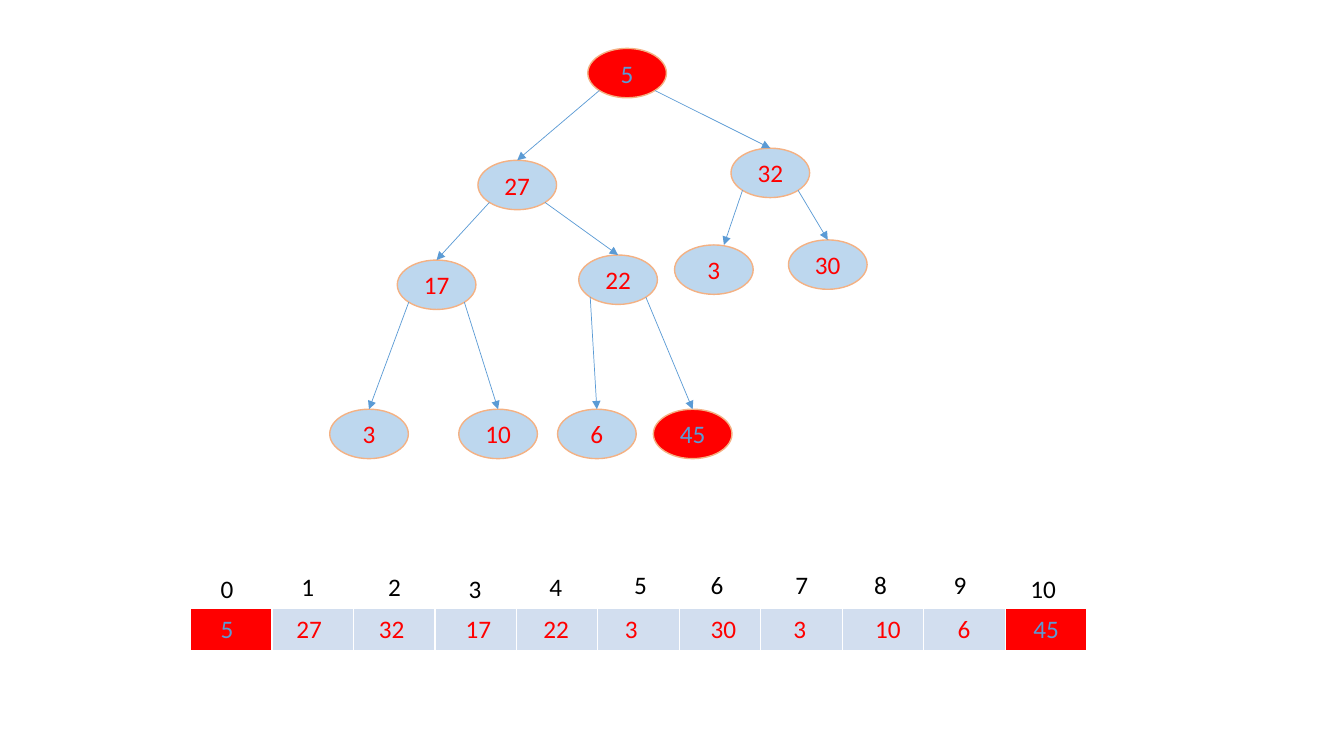
import math
from dataclasses import dataclass

import pptx
import pptx.dml.color
import pptx.enum.shapes
import pptx.enum.text
import pptx.oxml
import pptx.oxml.ns
import pptx.util
from pptx.util import Inches


@dataclass(frozen=True)
class Theme:
    font: str = "Calibri"
    size: int = 18
    ink: str = "000000"
    value: str = "FF0000"
    marked_value: str = "5B9BD5"
    marked_fill: str = "FF0000"
    node_fill: str = "BDD7EE"
    node_line: str = "F4B183"
    cell_fill: str = "D2DEEF"
    cell_line: str = "FFFFFF"
    edge: str = "5B9BD5"


def rgb(code):
    return pptx.dml.color.RGBColor.from_string(code)


class SlideBuilder:
    def __init__(self, page, theme):
        self.page = page
        self.theme = theme

    def set_text(self, frame, text, color):
        frame.text = text
        for para in frame.paragraphs:
            for span in para.runs:
                span.font.name = self.theme.font
                span.font.size = pptx.util.Pt(self.theme.size)
                span.font.color.rgb = rgb(color)

    def node(self, left, top, width, height, text, fill, color):
        oval = self.page.shapes.add_shape(
            pptx.enum.shapes.MSO_SHAPE.OVAL,
            Inches(left), Inches(top), Inches(width), Inches(height))
        oval.shadow.inherit = False
        oval.fill.solid()
        oval.fill.fore_color.rgb = rgb(fill)
        oval.line.color.rgb = rgb(self.theme.node_line)
        oval.line.width = pptx.util.Pt(1)
        self.set_text(oval.text_frame, text, color)
        oval.text_frame.vertical_anchor = pptx.enum.text.MSO_ANCHOR.MIDDLE
        oval.text_frame.paragraphs[0].alignment = pptx.enum.text.PP_ALIGN.CENTER

    def arrow(self, start, end):
        edge = self.page.shapes.add_connector(
            pptx.enum.shapes.MSO_CONNECTOR.STRAIGHT,
            *(Inches(length) for length in (*start, *end)))
        edge.line.color.rgb = rgb(self.theme.edge)
        edge.line.width = pptx.util.Pt(0.5)
        properties = edge._element.spPr
        head = pptx.oxml.parse_xml(
            f'<a:tailEnd {pptx.oxml.ns.nsdecls("a")} type="triangle"/>')
        properties.find(pptx.oxml.ns.qn("a:ln")).append(head)
        effects = pptx.oxml.parse_xml(f'<a:effectLst {pptx.oxml.ns.nsdecls("a")}/>')
        properties.append(effects)

    def label(self, left, top, text, color):
        box = self.page.shapes.add_textbox(
            Inches(left), Inches(top), Inches(0.48), Inches(0.4))
        box.text_frame.word_wrap = True
        self.set_text(box.text_frame, text, color)

    def strip(self, left, top, width, height, fills):
        table = self.page.shapes.add_table(
            1, len(fills), Inches(left), Inches(top),
            Inches(width), Inches(height)).table
        for cell, fill in zip(table.iter_cells(), fills):
            properties = cell._tc.get_or_add_tcPr()
            for side in ("lnL", "lnR", "lnT", "lnB"):
                properties.append(pptx.oxml.parse_xml(
                    f'<a:{side} {pptx.oxml.ns.nsdecls("a")} w="12700"><a:solidFill>'
                    f'<a:srgbClr val="{self.theme.cell_line}"/>'
                    f'</a:solidFill></a:{side}>'))
            cell.fill.solid()
            cell.fill.fore_color.rgb = rgb(fill)


HEAP = [5, 27, 32, 17, 22, 3, 30, 3, 10, 6, 45]
NODE_PLACES = [
    (5.83, 0.48), (4.74, 1.59), (7.25, 1.47), (3.94, 2.58), (5.74, 2.53),
    (6.69, 2.43), (7.82, 2.38), (3.27, 4.06), (4.55, 4.06), (5.53, 4.06),
    (6.48, 4.06)]
INDEX_PLACES = [
    (2.09, 5.64), (2.89, 5.62), (3.75, 5.62), (4.55, 5.64), (5.35, 5.62),
    (6.19, 5.6), (6.95, 5.6), (7.79, 5.6), (8.57, 5.6), (9.36, 5.6),
    (10.12, 5.64)]
VALUE_LEFTS = [2.09, 2.84, 3.66, 4.52, 5.29, 6.1, 6.95, 7.77, 8.58, 9.4, 10.15]
SWAPPED = {0, len(HEAP) - 1}
ARROW_SHIFTS = {5: 0.1}
NODE_WIDTH, NODE_HEIGHT = 0.78, 0.49
STRIP_TOP = 6.04

deck = pptx.Presentation()
deck.slide_width, deck.slide_height = Inches(13.33), Inches(7.5)
theme = Theme()
builder = SlideBuilder(deck.slides.add_slide(deck.slide_layouts[6]), theme)

value_colors = [theme.marked_value if index in SWAPPED else theme.value
                for index in range(len(HEAP))]
diagonal = math.sqrt(0.5)
for index, (left, top) in enumerate(NODE_PLACES):
    fill = theme.marked_fill if index in SWAPPED else theme.node_fill
    builder.node(left, top, NODE_WIDTH, NODE_HEIGHT,
                 str(HEAP[index]), fill, value_colors[index])
    if index > 0:
        parent_left, parent_top = NODE_PLACES[(index - 1) // 2]
        side = -1 if index % 2 else 1
        start = (parent_left + NODE_WIDTH / 2 * (1 + side * diagonal),
                 parent_top + NODE_HEIGHT / 2 * (1 + diagonal))
        end = (left + NODE_WIDTH / 2 + ARROW_SHIFTS.get(index, 0), top)
        builder.arrow(start, end)

builder.strip(1.89, STRIP_TOP, 8.89, 0.41,
              [theme.marked_fill if index in SWAPPED else theme.cell_fill
               for index in range(len(HEAP))])
for index, value in enumerate(HEAP):
    builder.label(*INDEX_PLACES[index], str(index), theme.ink)
    builder.label(VALUE_LEFTS[index], STRIP_TOP, str(value), value_colors[index])

deck.save("out.pptx")
